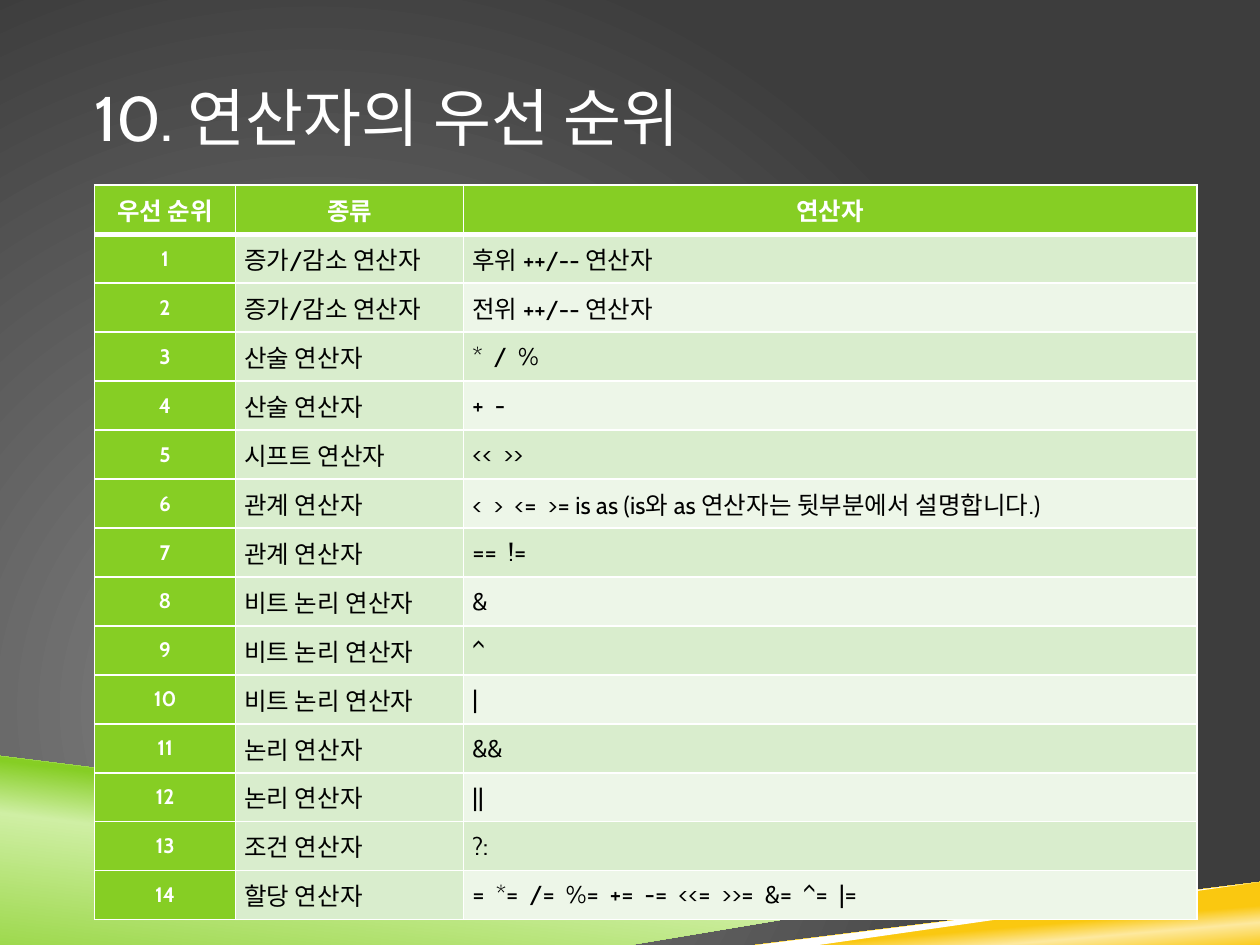
from typing import NamedTuple

from lxml.etree import SubElement
from pptx import Presentation
from pptx.dml.color import RGBColor
from pptx.enum.text import MSO_ANCHOR, MSO_AUTO_SIZE, PP_ALIGN
from pptx.oxml.ns import qn
from pptx.util import Inches, Pt

FONT = "Cabin"
WHITE, BLACK, GREEN = "FFFFFF", "000000", "86CE24"
BANDS = "D9EDCD", "EDF6E8"
COLS = 1.12, 1.81, 5.82
ROW = 5.83 / 15

HEAD = "우선 순위", "종류", "연산자"
RANKS = [
    ("증가/감소 연산자", "후위 ++/-- 연산자"),
    ("증가/감소 연산자", "전위 ++/-- 연산자"),
    ("산술 연산자", "*  /  %"),
    ("산술 연산자", "+  -"),
    ("시프트 연산자", "<<  >>"),
    ("관계 연산자", "<  >  <=  >= is as (is와 as 연산자는 뒷부분에서 설명합니다.)"),
    ("관계 연산자", "==  !="),
    ("비트 논리 연산자", "&"),
    ("비트 논리 연산자", "^"),
    ("비트 논리 연산자", "|"),
    ("논리 연산자", "&&"),
    ("논리 연산자", "||"),
    ("조건 연산자", "?:"),
    ("할당 연산자", "=  *=  /=  %=  +=  -=  <<=  >>=  &=  ^=  |="),
]


class Wedge(NamedTuple):
    points: list
    stops: list
    angle: int = 0


WEDGES = [
    Wedge([(0, 5.97), (7.92, 6.92), (2, 7.5), (0, 7.5)],
          [(0, GREEN), (52, "CFEFA4"), (66, GREEN)], 277),
    Wedge([(1.98, 7.5), (10, 6.72), (10, 7.5)],
          [(28, "FAC810"), (40, "FDE99F"), (48, "FAC810")], 265),
    Wedge([(0, 5.92), (0, 6), (7.9, 6.93), (8.32, 6.9)], [(0, WHITE)]),
    Wedge([(10, 6.69), (1.84, 7.5), (2.66, 7.5), (10, 6.77)], [(0, WHITE)]),
]


def color(code: str) -> RGBColor:
    return RGBColor.from_string(code)


def blend(fill, node, stops: list, angle: int = 0, focus: dict = None) -> None:
    """Give node a gradient: linear at angle, or circular around focus."""
    fill.gradient()
    grad = next(node.iter(qn("a:gradFill")))
    for child in list(grad):
        grad.remove(child)
    group = SubElement(grad, qn("a:gsLst"))
    for pos, code in stops:
        stop = SubElement(group, qn("a:gs"), pos=str(pos * 1000))
        SubElement(stop, qn("a:srgbClr"), val=code)
    if focus:
        ring = SubElement(grad, qn("a:path"), {"path": "circle"})
        SubElement(ring, qn("a:fillToRect"), focus)
    else:
        SubElement(grad, qn("a:lin"), ang=str(angle * 60000), scaled="0")


def write(frame, text: str, size: float, ink: str = WHITE,
          bold: bool = False, align=PP_ALIGN.LEFT) -> None:
    para = frame.paragraphs[0]
    para.alignment = align
    run = para.add_run()
    run.text = text
    font = run.font
    font.name, font.size, font.bold = FONT, Pt(size), bold
    font.color.rgb = color(ink)


def draw_wedge(slide, wedge: Wedge) -> None:
    first, *rest = wedge.points
    path = slide.shapes.build_freeform(*first, scale=Inches(1))
    path.add_line_segments(rest, close=True)
    shape = path.convert_to_shape()
    shape.shadow.inherit = False
    shape.line.fill.background()
    if len(wedge.stops) > 1:
        blend(shape.fill, shape.element, wedge.stops, wedge.angle)
    else:
        shape.fill.solid()
        shape.fill.fore_color.rgb = color(wedge.stops[0][1])


def edge(cell, top: float, bottom: float) -> None:
    """Draw white borders, one point wide at the sides."""
    props = cell._tc.get_or_add_tcPr()
    for side, width in zip("LRTB", (1, 1, top, bottom)):
        line = SubElement(props, qn("a:ln" + side), w=str(Pt(width)))
        SubElement(SubElement(line, qn("a:solidFill")),
                   qn("a:srgbClr"), val=WHITE)


def draw_table(slide) -> None:
    rows = [HEAD] + [(str(n), *rank) for n, rank in enumerate(RANKS, 1)]
    table = slide.shapes.add_table(
        len(rows), len(COLS), Inches(0.75), Inches(1.47),
        Inches(sum(COLS)), Inches(ROW * len(rows))).table
    for col, width in zip(table.columns, COLS):
        col.width = Inches(width)
    for r, row in enumerate(rows):
        table.rows[r].height = Inches(ROW)
        for c, text in enumerate(row):
            cell = table.cell(r, c)
            edge(cell, 3 if r == 1 else 1, 3 if r == 0 else 1)
            cell.margin_left = cell.margin_right = Inches(0.07)
            cell.margin_top = cell.margin_bottom = 0
            cell.vertical_anchor = MSO_ANCHOR.MIDDLE
            label = r == 0 or c == 0
            band = BANDS[(r - 1) % 2] if c == 2 else BANDS[0]
            cell.fill.solid()
            cell.fill.fore_color.rgb = color(GREEN if label else band)
            write(cell.text_frame, text, 12 if r and c == 0 else 14,
                  ink=WHITE if label else BLACK, bold=label,
                  align=PP_ALIGN.CENTER if label else PP_ALIGN.JUSTIFY)


def draw_title(slide, text: str) -> None:
    title = slide.shapes.title
    title.left, title.top = Inches(0.75), Inches(0.3)
    title.width, title.height = Inches(8.5), Inches(1.25)
    frame = title.text_frame
    frame.word_wrap = True
    frame.auto_size = MSO_AUTO_SIZE.NONE
    frame.vertical_anchor = MSO_ANCHOR.MIDDLE
    frame.margin_left = frame.margin_right = 0
    frame.margin_top = frame.margin_bottom = Inches(0.05)
    write(frame, text, 36)


def main() -> None:
    deck = Presentation()
    deck.slide_width, deck.slide_height = Inches(10), Inches(7.5)
    slide = deck.slides.add_slide(deck.slide_layouts[5])
    blend(slide.background.fill, slide.element,
          [(0, "878787"), (100, "3D3D3D")],
          focus={"l": "50000", "t": "100000", "r": "100000", "b": "50000"})
    for wedge in WEDGES:
        draw_wedge(slide, wedge)
    draw_title(slide, "10. 연산자의 우선 순위")
    draw_table(slide)
    deck.save("out.pptx")


if __name__ == "__main__":
    main()
